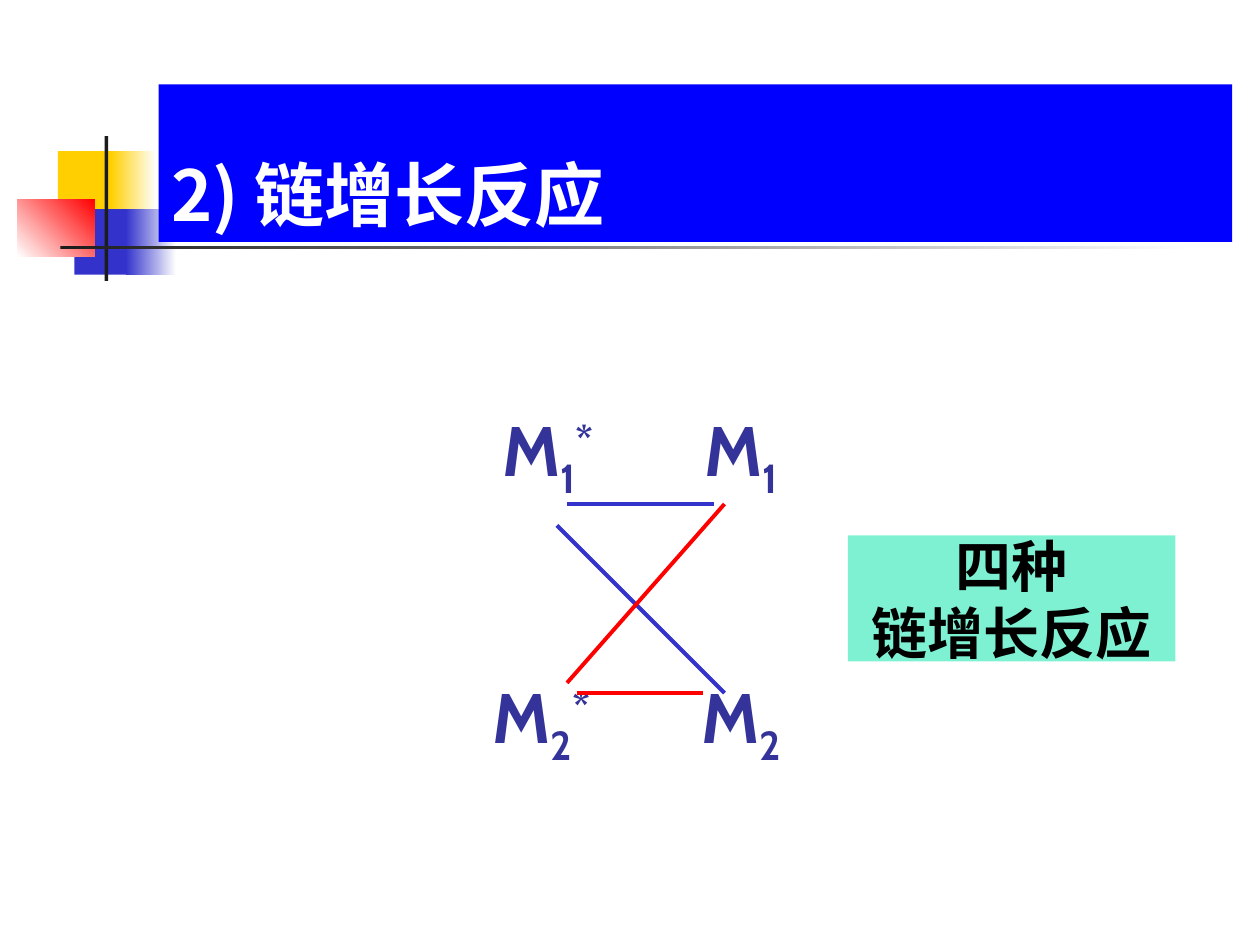
from dataclasses import dataclass
from lxml.etree import SubElement
from pptx import Presentation
from pptx.dml.color import RGBColor
from pptx.enum.shapes import MSO_CONNECTOR, MSO_SHAPE
from pptx.enum.text import MSO_ANCHOR, PP_ALIGN
from pptx.oxml.ns import qn
from pptx.util import Inches, Pt

WIDE, HIGH = Inches(10), Inches(7.5)
COLS, ROWS = 100, 75
HUES = {
    "gold": "FFCF01", "blue": "3333CC", "red": "FF0000", "ink": "1C1C1C",
    "white": "FFFFFF", "title": "0000FF", "mint": "00E4A8",
    "navy": "333399", "black": "000000",
}
SANS, CABIN = "Noto Sans CJK SC", "Cabin"


@dataclass(frozen=True)
class Block:
    """A filled box on the grid, fading to a second hue if one is given."""
    col: float
    row: float
    wide: float
    high: float
    hue: str
    fade: str = ""
    turn: float = 0
    clear: int = 0


@dataclass(frozen=True)
class Bond:
    """A line between two grid points."""
    start: tuple[float, float]
    end: tuple[float, float]
    hue: str


@dataclass(frozen=True)
class Style:
    """The look of a run."""
    face: str
    size: int
    hue: str


@dataclass(frozen=True)
class Pair:
    """A radical and a monomer, set at two tab stops in grid columns."""
    index: str
    stops: tuple[float, float]
    gap: int = 0


DECOR = [
    Block(4.6, 12, 4.8, 5.2, "gold"),
    Block(8.8, 12, 3.6, 5.2, "gold", "white"),
    Block(5.9, 16.6, 4.6, 5.2, "blue"),
    Block(10, 16.6, 4, 5.2, "blue", "white"),
    Block(1.4, 15.8, 6.1, 4.6, "white", "red", 45),
    Block(8.3, 10.8, 0.3, 11.5, "ink"),
    Block(4.8, 19.5, 90, 0.3, "ink", "white"),
]
TITLE = Block(12.6, 6.7, 85.2, 12.5, "title")
NOTE = Block(67.3, 42.5, 26, 10, "mint", clear=50)
BONDS = [
    Bond((45, 40), (56.7, 40), "blue"),
    Bond((44.2, 41.7), (57.5, 55), "blue"),
    Bond((45, 54.2), (57.5, 40), "red"),
    Bond((45.8, 55), (55.8, 55), "red"),
]
PAIRS = [Pair("1", (27.2, 43.2)), Pair("2", (26.4, 43), 98)]


def across(col: float) -> int:
    """Turn grid columns into a length."""
    return int(WIDE * col / COLS)


def down(row: float) -> int:
    """Turn grid rows into a length."""
    return int(HIGH * row / ROWS)


def tint(name: str) -> RGBColor:
    """Look up a colour."""
    return RGBColor.from_string(HUES[name])


def draw_block(slide, block: Block):
    """Draw a box and return its shape."""
    shape = slide.shapes.add_shape(
        MSO_SHAPE.RECTANGLE, across(block.col), down(block.row),
        across(block.wide), down(block.high))
    shape.shadow.inherit = False
    shape.line.fill.background()
    fill = shape.fill
    if block.fade:
        fill.gradient()
        fill.gradient_angle = block.turn
        for stop, hue in zip(fill.gradient_stops, (block.hue, block.fade)):
            stop.color.rgb = tint(hue)
            stop.position = float(hue == block.fade)
    else:
        fill.solid()
        fill.fore_color.rgb = tint(block.hue)
    if block.clear:
        code = shape._element.spPr.find(".//" + qn("a:srgbClr"))
        SubElement(code, qn("a:alpha"), val=str(block.clear * 1000))
    return shape


def draw_bond(slide, bond: Bond) -> None:
    """Draw a line."""
    (left, top), (right, base) = bond.start, bond.end
    line = slide.shapes.add_connector(
        MSO_CONNECTOR.STRAIGHT, across(left), down(top),
        across(right), down(base))
    line.line.color.rgb = tint(bond.hue)
    line.line.width = Pt(2.25)
    SubElement(line._element.spPr, qn("a:effectLst"))


def add_run(para, text: str, style: Style, shift: int = 0) -> None:
    """Add one bold run, raised or lowered by a percentage."""
    run = para.add_run()
    run.text = text
    font = run.font
    font.name, font.size, font.bold = style.face, Pt(style.size), True
    font.color.rgb = tint(style.hue)
    mark = run._r.get_or_add_rPr()
    SubElement(mark, qn("a:ea"), typeface=SANS)
    if shift:
        mark.set("baseline", str(shift * 1000))


def add_lines(shape, lines: list[str], style: Style, align, anchor) -> None:
    """Fill a shape with one paragraph for each line."""
    frame = shape.text_frame
    frame.word_wrap = True
    frame.vertical_anchor = anchor
    for rank, text in enumerate(lines):
        para = frame.add_paragraph() if rank else frame.paragraphs[0]
        para.alignment = align
        add_run(para, text, style)


def draw_pairs(slide, pairs: list[Pair]) -> None:
    """Write the radicals and monomers in one box."""
    box = slide.shapes.add_textbox(
        across(11.7), down(25), across(77.5), down(43.3))
    frame = box.text_frame
    frame.word_wrap = True
    frame.vertical_anchor = MSO_ANCHOR.MIDDLE
    style = Style(CABIN, 40, "navy")
    for rank, pair in enumerate(pairs):
        para = frame.add_paragraph() if rank else frame.paragraphs[0]
        tabs = SubElement(para._p.get_or_add_pPr(), qn("a:tabLst"))
        for stop in pair.stops:
            SubElement(tabs, qn("a:tab"), pos=str(across(stop)), algn="l")
        para.alignment = PP_ALIGN.LEFT
        if pair.gap:
            para.space_before = Pt(pair.gap)
        parts = [("\tM", 0), (pair.index, -25), ("*", 30),
                 ("\tM", 0), (pair.index, -25)]
        for text, shift in parts:
            add_run(para, text, style, shift)


def main() -> None:
    """Build the slide and save it."""
    deck = Presentation()
    deck.slide_width, deck.slide_height = WIDE, HIGH
    slide = deck.slides.add_slide(deck.slide_layouts[6])
    for block in DECOR:
        draw_block(slide, block)
    add_lines(draw_block(slide, TITLE), ["2) 链增长反应"],
              Style(SANS, 40, "white"), PP_ALIGN.LEFT, MSO_ANCHOR.BOTTOM)
    draw_pairs(slide, PAIRS)
    for bond in BONDS:
        draw_bond(slide, bond)
    add_lines(draw_block(slide, NOTE), ["四种", "链增长反应"],
              Style(CABIN, 32, "black"), PP_ALIGN.CENTER, MSO_ANCHOR.MIDDLE)


    deck.save("out.pptx")


if __name__ == "__main__":
    main()
